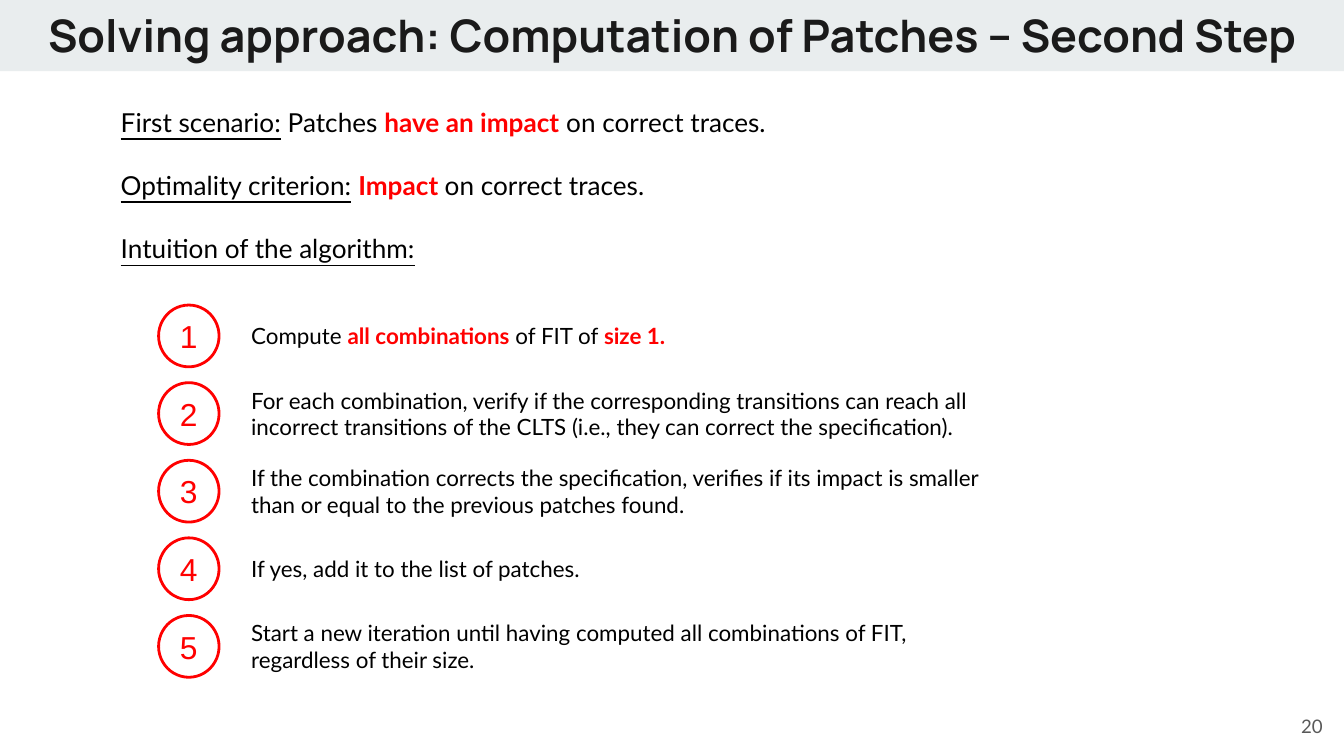
import pptx
import pptx.dml.color
import pptx.enum.shapes
import pptx.enum.text
import pptx.util

Inches = pptx.util.Inches
Pt = pptx.util.Pt
RGBColor = pptx.dml.color.RGBColor
ALIGN = pptx.enum.text.PP_ALIGN
ANCHOR = pptx.enum.text.MSO_ANCHOR
SHAPE = pptx.enum.shapes.MSO_SHAPE

BAND = RGBColor(0xE9, 0xED, 0xEE)
TITLE = RGBColor(0x1A, 0x1A, 0x1A)
BLACK = RGBColor(0, 0, 0)
RED = RGBColor(0xFF, 0, 0)
GREY = RGBColor(0x59, 0x59, 0x59)

# Run styles: plain, underlined heading, red emphasis
PLAIN, HEADING, EMPHASIS = "plain", "heading", "emphasis"

SUMMARY = [
    [("First scenario:", HEADING), (" Patches ", PLAIN),
     ("have an impact", EMPHASIS), (" on correct traces.", PLAIN)],
    [("Optimality criterion:", HEADING), (" ", PLAIN),
     ("Impact ", EMPHASIS), ("on correct traces.", PLAIN)],
    [("Intuition of the algorithm:", HEADING)],
]

# Each step: number of text lines, runs
STEPS = [
    (1, [("Compute ", PLAIN), ("all combinations", EMPHASIS),
         (" of FIT of ", PLAIN), ("size 1.", EMPHASIS)]),
    (2, [("For each combination, verify if the corresponding transitions can reach all "
          "incorrect transitions of the CLTS (i.e., they can correct the specification).", PLAIN)]),
    (2, [("If the combination corrects the specification, verifies if its impact is smaller "
          "than or equal to the previous patches found.", PLAIN)]),
    (1, [("If yes, add it to the list of patches.", PLAIN)]),
    (2, [("Start a new iteration until having computed all combinations of FIT, "
          "regardless of their size.", PLAIN)]),
]


def set_frame(frame, anchor=ANCHOR.TOP, inset=0.1):
    frame.word_wrap = True
    frame.auto_size = pptx.enum.text.MSO_AUTO_SIZE.NONE
    frame.vertical_anchor = anchor
    frame.margin_left = frame.margin_right = Inches(inset)
    frame.margin_top = frame.margin_bottom = Inches(inset)


def add_run(paragraph, text, size, font="Lato", color=BLACK, bold=False):
    run = paragraph.add_run()
    run.text = text
    run.font.name = font
    run.font.size = Pt(size)
    run.font.bold = bold
    run.font.color.rgb = color
    return run


def add_styled_runs(paragraph, runs, size):
    for text, style in runs:
        emphasis = style == EMPHASIS
        run = add_run(paragraph, text, size, color=RED if emphasis else BLACK, bold=emphasis)
        if style == HEADING:
            run.font.underline = True


def add_text_frame(slide, left, top, width, height, anchor=ANCHOR.TOP):
    box = slide.shapes.add_textbox(Inches(left), Inches(top), Inches(width), Inches(height))
    set_frame(box.text_frame, anchor)
    return box.text_frame


def add_header(slide, left, top, width, height):
    # Band, placed behind the title
    band = slide.shapes.add_shape(
        SHAPE.RECTANGLE, Inches(left), Inches(top), Inches(width), Inches(height))
    band.shadow.inherit = False
    band.fill.solid()
    band.fill.fore_color.rgb = BAND
    band.line.fill.background()

    title = slide.shapes.title
    band._element.addnext(title._element)
    title.left, title.top = Inches(left + 0.16), Inches(top)
    title.width, title.height = Inches(width - 0.32), Inches(height + 0.06)
    set_frame(title.text_frame)
    heading = title.text_frame.paragraphs[0]
    heading.alignment = ALIGN.CENTER
    heading.line_spacing = 0.9
    add_run(heading, "Solving approach: Computation of Patches – Second Step",
            24, "Manrope", TITLE, True)


def add_summary(slide, left, top, width, height):
    frame = add_text_frame(slide, left, top, width, height)
    for index, runs in enumerate(SUMMARY):
        paragraph = frame.add_paragraph() if index else frame.paragraphs[0]
        paragraph.space_before = Pt(17 if index else 0)
        add_styled_runs(paragraph, runs, 14)


def add_steps(slide, left, top, width, height):
    circle_width, circle_height, text_offset = 0.45, 0.46, 0.59
    pitch = (height - circle_height) / (len(STEPS) - 1)
    for index, (lines, runs) in enumerate(STEPS):
        row_top = top + index * pitch
        # Numbered circle
        circle = slide.shapes.add_shape(
            SHAPE.OVAL, Inches(left), Inches(row_top),
            Inches(circle_width), Inches(circle_height))
        circle.shadow.inherit = False
        circle.fill.background()
        circle.line.color.rgb = RED
        circle.line.width = Pt(1.5)
        set_frame(circle.text_frame, ANCHOR.MIDDLE, 0)
        number = circle.text_frame.paragraphs[0]
        number.alignment = ALIGN.CENTER
        add_run(number, str(index + 1), 17, "Arial", RED)

        # Step text, centred on its circle
        text_height = 0.2 + 0.2 * lines
        text_top = row_top + (circle_height - text_height) / 2
        frame = add_text_frame(slide, left + text_offset, text_top,
                               width - text_offset, text_height, ANCHOR.MIDDLE)
        add_styled_runs(frame.paragraphs[0], runs, 12)


def add_page_number(slide, left, top, width, height):
    frame = add_text_frame(slide, left, top, width, height, ANCHOR.MIDDLE)
    frame.paragraphs[0].alignment = ALIGN.RIGHT
    add_run(frame.paragraphs[0], "20", 10, color=GREY)


def main():
    deck = pptx.Presentation()
    # Widescreen 16:9
    deck.slide_width = Inches(10)
    deck.slide_height = deck.slide_width * 9 // 16
    slide = deck.slides.add_slide(deck.slide_layouts[5])
    add_header(slide, 0, 0, 10, 0.53)
    add_summary(slide, 0.8, 0.69, 5.98, 1.37)
    add_steps(slide, 1.18, 2.27, 6.3, 2.77)
    add_page_number(slide, 9.34, 5.19, 0.6, 0.43)
    deck.save("out.pptx")


if __name__ == "__main__":
    main()
